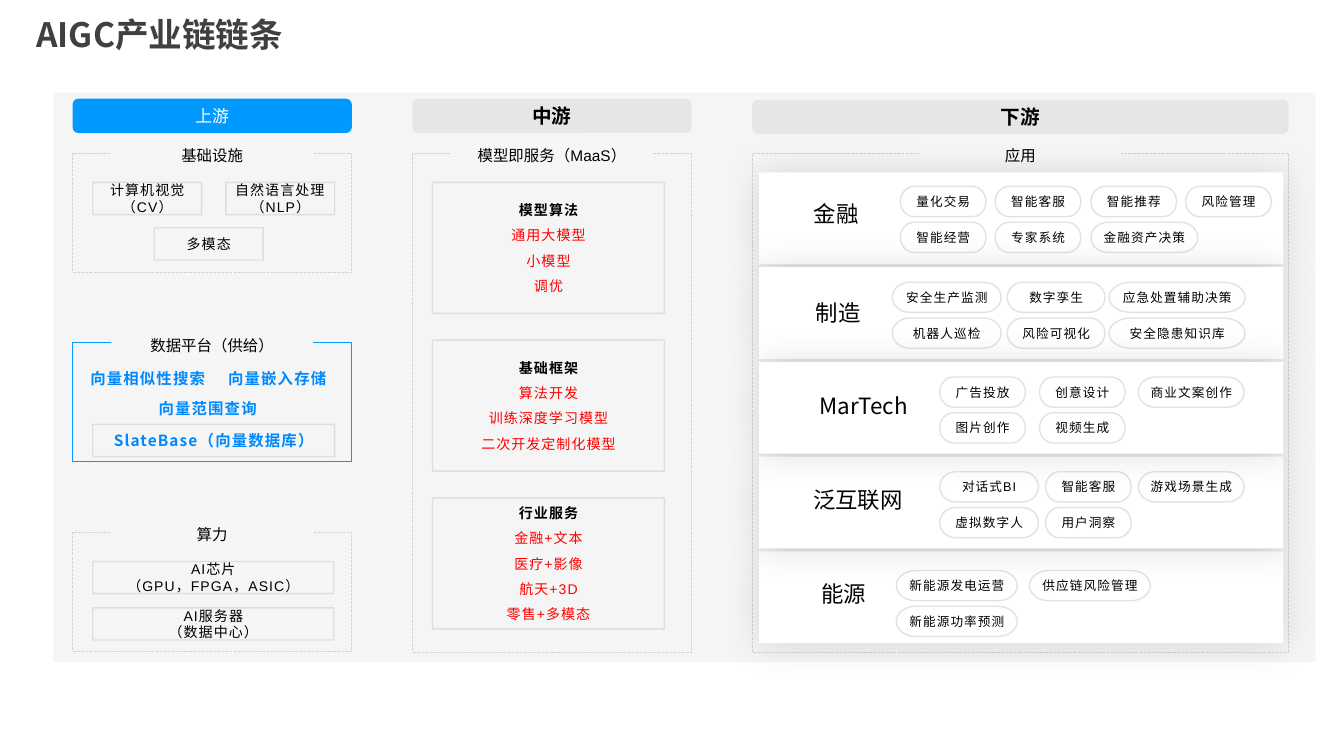
from pptx import Presentation
from pptx.dml.color import RGBColor
from pptx.enum.dml import MSO_LINE
from pptx.enum.shapes import MSO_SHAPE as Preset
from pptx.enum.text import MSO_ANCHOR as Anchor, PP_ALIGN as Align
from pptx.oxml.ns import qn
from pptx.util import Inches, Pt
from lxml.etree import SubElement

BLACK = RGBColor(0x00, 0x00, 0x00)
WHITE = RGBColor(0xFF, 0xFF, 0xFF)
RED = RGBColor(0xFF, 0x00, 0x00)
TITLE_GREY = RGBColor(0x40, 0x40, 0x40)
PANEL_GREY = RGBColor(0xA5, 0xA5, 0xA5)
HEADER_GREY = RGBColor(0xD9, 0xD9, 0xD9)
LINE_GREY = RGBColor(0xD2, 0xD3, 0xD2)
CAPTION_FILL = RGBColor(0xF6, 0xF6, 0xF6)
BLUE = RGBColor(0x00, 0x99, 0xFF)
TEXT_BLUE = RGBColor(0x00, 0x89, 0xFF)
CJK_FONT = "Noto Sans CJK SC"

TIGHT = 0.03
BLUE_TEXT = dict(size=11, font=CJK_FONT, color=TEXT_BLUE, bold=True)
CARD_TOP, CARD_PITCH = 1.71, 0.94
CHIP_PITCH = 0.355

# card index: name, label box (left, top, width), first chip top,
# chip columns (left, width), chip rows; listed from back to front
DOMAINS = {
    0: ("金融", (7.96, 1.94, 0.67), 1.85,
        [(8.93, 0.85), (9.87, 0.85), (10.82, 0.85), (11.76, 0.85)],
        [["量化交易", "智能客服", "智能推荐", "风险管理"],
         ["智能经营", "专家系统", "金融资产决策"]]),
    1: ("制造", (7.98, 2.92, 0.67), 2.8,
        [(8.85, 1.08), (9.99, 0.97), (11, 1.35)],
        [["安全生产监测", "数字孪生", "应急处置辅助决策"],
         ["机器人巡检", "风险可视化", "安全隐患知识库"]]),
    4: ("能源", (8.03, 5.71, 0.67), 5.66,
        [(8.89, 1.2), (10.21, 1.2)],
        [["新能源发电运营", "供应链风险管理"], ["新能源功率预测"]]),
    3: ("泛互联网", (7.94, 4.77, 1.14), 4.68,
        [(9.32, 0.98), (10.37, 0.85), (11.29, 1.05)],
        [["对话式BI", "智能客服", "游戏场景生成"], ["虚拟数字人", "用户洞察"]]),
    2: ("MarTech", (7.96, 3.84, 1.21), 3.74,
        [(9.32, 0.85), (10.31, 0.85), (11.29, 1.05)],
        [["广告投放", "创意设计", "商业文案创作"], ["图片创作", "视频生成"]]),
}
WIDE_CHIPS = {"金融资产决策": 1.06}

MODEL_SERVICES = [
    ["模型算法", "通用大模型", "小模型", "调优"],
    ["基础框架", "算法开发", "训练深度学习模型", "二次开发定制化模型"],
    ["行业服务", "金融+文本", "医疗+影像", "航天+3D", "零售+多模态"],
]


def set_alpha(color_parent, percent):
    for color in color_parent.iter(qn("a:srgbClr")):
        SubElement(color, qn("a:alpha"), val=str(percent * 1000))


def write(box, *lines, size=10, font="Arial", color=BLACK, bold=False, spacing=None,
          line_spacing=None, space_after=None, align=Align.CENTER,
          anchor=Anchor.MIDDLE, inset=None):
    """Put one paragraph per line of text into the box."""
    frame = box.text_frame
    frame.word_wrap = True
    frame.vertical_anchor = anchor
    if inset is not None:
        frame.margin_left = frame.margin_right = Inches(inset)
        frame.margin_top = frame.margin_bottom = Inches(inset)
    for number, line in enumerate(lines):
        para = frame.add_paragraph() if number else frame.paragraphs[0]
        para.alignment = align
        if line_spacing:
            para.line_spacing = line_spacing
        if space_after:
            para.space_after = Pt(space_after)
        span = para.add_run()
        span.text = line
        span.font.size = Pt(size)
        span.font.name = font
        span.font.bold = bold
        span.font.color.rgb = color
        properties = span.font._element
        SubElement(properties, qn("a:ea"), typeface=CJK_FONT)
        if spacing:
            properties.set("spc", str(int(spacing * 100)))


def add_box(page, place, preset=Preset.RECTANGLE, fill=None, fill_alpha=None,
            line=None, width=1, line_alpha=None, dash=None):
    box = page.shapes.add_shape(preset, *map(Inches, place))
    box.shadow.inherit = False
    if fill is None:
        box.fill.background()
    else:
        box.fill.solid()
        box.fill.fore_color.rgb = fill
        if fill_alpha:
            set_alpha(box.element.spPr.find(qn("a:solidFill")), fill_alpha)
    if line is None:
        box.line.fill.background()
    else:
        box.line.color.rgb = line
        box.line.width = Pt(width)
        if dash:
            box.line.dash_style = dash
        if line_alpha:
            set_alpha(box.element.spPr.find(qn("a:ln")), line_alpha)
    return box


def add_label(page, place, text, **text_format):
    box = page.shapes.add_textbox(*map(Inches, place))
    write(box, text, **text_format)


def add_outlined(page, place, *lines, preset=Preset.RECTANGLE, **text_format):
    box = add_box(page, place, preset, line=LINE_GREY, line_alpha=66)
    write(box, *lines, spacing=0.8, inset=TIGHT, **text_format)
    return box


def add_header(page, place, text, fill=HEADER_GREY, fill_alpha=50, **text_format):
    box = add_box(page, place, Preset.ROUNDED_RECTANGLE, fill, fill_alpha)
    write(box, text, **text_format)


def add_section(page, place, caption, line=LINE_GREY, dash=MSO_LINE.SQUARE_DOT):
    """Frame whose caption interrupts the middle of its top edge."""
    add_box(page, place, line=line, width=0.75, dash=dash)
    left, top, width, _ = place
    tag = add_box(page, (left + width / 2 - 1, top - 0.17, 2, 0.33),
                  Preset.ROUNDED_RECTANGLE, CAPTION_FILL)
    write(tag, caption, size=11, line_spacing=1.2, space_after=6, anchor=Anchor.TOP)


def add_card(page, place):
    card = add_box(page, place, fill=WHITE)
    effects = card.element.spPr.find(qn("a:effectLst"))
    shadow = SubElement(effects, qn("a:outerShdw"), blurRad=str(Pt(27)),
                        dist=str(Pt(1)), dir="5400000", algn="t", rotWithShape="0")
    SubElement(shadow, qn("a:srgbClr"), val=str(BLACK))
    set_alpha(shadow, 13)


def add_upstream(page):
    add_header(page, (0.72, 0.98, 2.77, 0.34), "上游", fill=BLUE, fill_alpha=None,
               size=12, font="Roboto", color=WHITE)
    add_section(page, (0.72, 1.52, 2.77, 1.18), "基础设施")
    add_outlined(page, (0.92, 1.81, 1.08, 0.32), "计算机视觉", "（CV）")
    add_outlined(page, (2.24, 1.81, 1.08, 0.32), "自然语言处理（NLP）")
    add_outlined(page, (1.53, 2.26, 1.08, 0.32), "多模态")

    add_section(page, (0.72, 3.4, 2.77, 1.18), "数据平台（供给）", line=BLUE, dash=None)
    for text, left, top, width in [("向量相似性搜索", 0.86, 3.59, 1.21),
                                   ("向量嵌入存储", 2.21, 3.59, 1.08),
                                   ("向量范围查询", 1.19, 3.89, 1.74)]:
        add_label(page, (left, top, width, 0.32), text, spacing=0.8, inset=TIGHT,
                  **BLUE_TEXT)
    add_outlined(page, (0.92, 4.21, 2.4, 0.32), "SlateBase（向量数据库）", **BLUE_TEXT)

    add_section(page, (0.72, 5.28, 2.77, 1.18), "算力")
    add_outlined(page, (0.92, 5.57, 2.39, 0.32), "AI芯片", "（GPU，FPGA，ASIC）")
    add_outlined(page, (0.92, 6.03, 2.39, 0.32), "AI服务器", "（数据中心）")


def add_midstream(page):
    add_header(page, (4.09, 0.98, 2.77, 0.34), "中游", size=14, bold=True)
    add_section(page, (4.09, 1.52, 2.77, 4.95), "模型即服务（MaaS）")
    for number, lines in enumerate(MODEL_SERVICES):
        box = add_outlined(page, (4.29, 1.81 + 1.565 * number, 2.3, 1.3), *lines)
        heading, *items = box.text_frame.paragraphs
        heading.runs[0].font.bold = True
        for para in items:
            para.line_spacing = 1.5
            para.runs[0].font.color.rgb = RED


def add_downstream(page):
    add_header(page, (7.46, 0.99, 5.32, 0.34), "下游", size=14, bold=True)
    add_section(page, (7.46, 1.52, 5.32, 4.95), "应用")
    for index, (name, label, chip_top, columns, rows) in DOMAINS.items():
        add_card(page, (7.53, CARD_TOP + CARD_PITCH * index, 5.2, 0.91))
        add_label(page, (*label, 0.37), name, size=16, font=CJK_FONT, anchor=Anchor.TOP)
        for row, chips in enumerate(rows):
            for chip, (left, width) in zip(chips, columns):
                place = (left, chip_top + CHIP_PITCH * row,
                         WIDE_CHIPS.get(chip, width), 0.3)
                add_outlined(page, place, chip, size=9,
                             preset=Preset.FLOWCHART_TERMINATOR)


def main():
    deck = Presentation()
    deck.slide_width, deck.slide_height = Inches(13.33), Inches(7.5)
    page = deck.slides.add_slide(deck.slide_layouts[5])
    title = page.shapes.title
    title.left, title.top = Inches(0.31), Inches(0.17)
    title.width, title.height = Inches(10.17), Inches(0.39)
    write(title, "AIGC产业链链条", size=24, font=CJK_FONT, color=TITLE_GREY, bold=True,
          line_spacing=0.9, align=Align.LEFT, inset=0.05)
    add_box(page, (0.53, 0.92, 12.52, 5.65), fill=PANEL_GREY, fill_alpha=10)
    add_upstream(page)
    add_midstream(page)
    add_downstream(page)
    deck.save("out.pptx")


if __name__ == "__main__":
    main()
